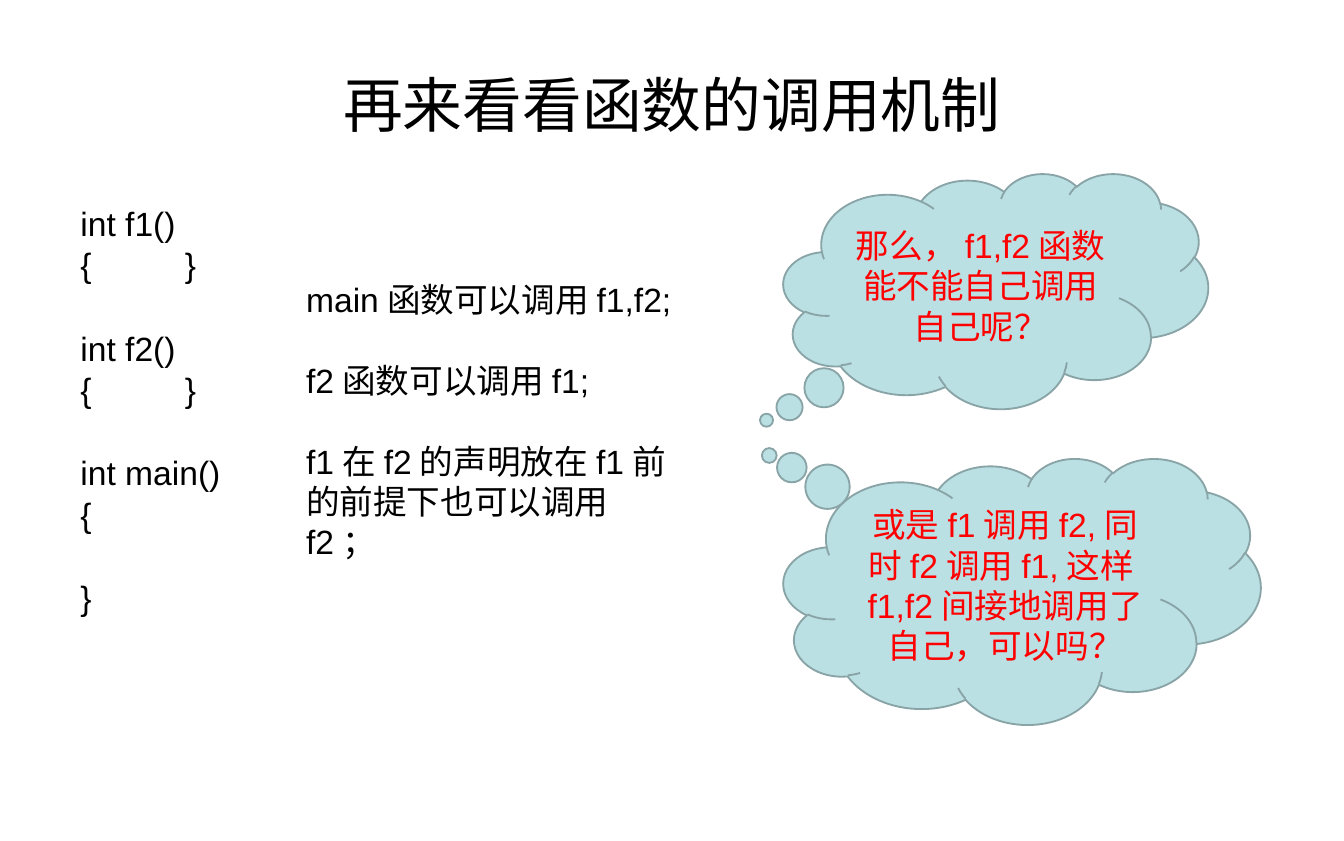
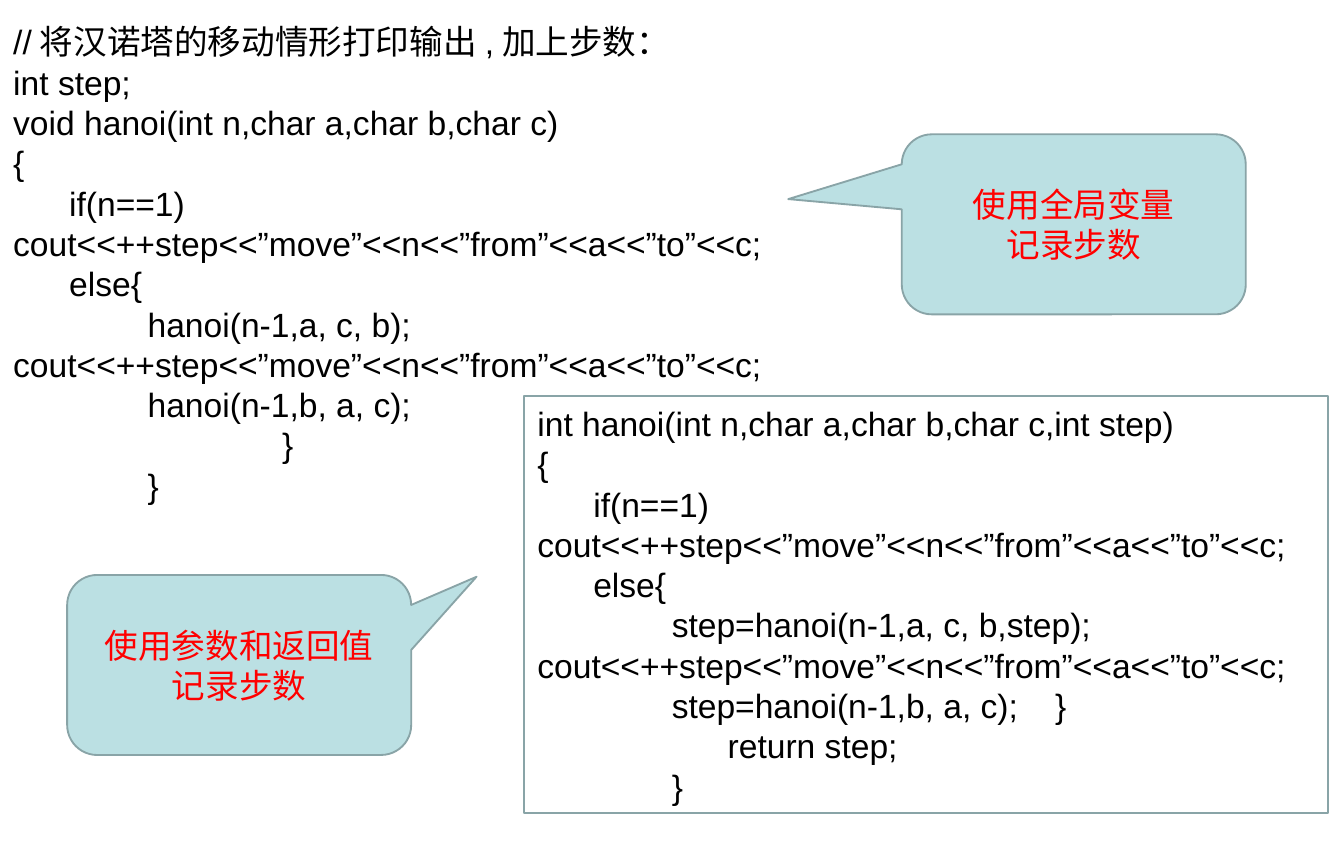
from pptx import Presentation
from pptx.dml.color import RGBColor
from pptx.enum.shapes import MSO_SHAPE
from pptx.enum.text import MSO_ANCHOR, PP_ALIGN
from pptx.util import Emu, Pt

CLOUD = MSO_SHAPE.CLOUD_CALLOUT
BUBBLE = MSO_SHAPE.ROUNDED_RECTANGULAR_CALLOUT
MIDDLE, TOP = MSO_ANCHOR.MIDDLE, MSO_ANCHOR.TOP
CENTER, LEFT = PP_ALIGN.CENTER, PP_ALIGN.LEFT

BLACK = RGBColor(0x00, 0x00, 0x00)
RED = RGBColor(0xFF, 0x00, 0x00)
PALE_TEAL = RGBColor(0xBB, 0xE0, 0xE3)
TEAL_GREY = RGBColor(0x89, 0xA4, 0xA7)

EMU_PER_PX = 9144
INDENT = 100
FONT = "Arial"
BODY_SIZE, TITLE_SIZE, LINE_PITCH = 18, 32, 21.6
MOVE = "cout<<++step<<”move”<<n<<”from”<<a<<”to”<<c;"


def px(length):
    return Emu(length * EMU_PER_PX)


class Deck:
    """Lecture slides in one style, drawn on the current slide."""

    def __init__(self, width, height):
        self.presentation = Presentation()
        self.presentation.slide_width = px(width)
        self.presentation.slide_height = px(height)
        self.slide = None

    def new_slide(self):
        blank = self.presentation.slide_layouts[6]
        self.slide = self.presentation.slides.add_slide(blank)

    def fill_text(self, frame, lines, color=BLACK, size=BODY_SIZE, align=LEFT, anchor=TOP):
        frame.word_wrap = True
        frame.vertical_anchor = anchor
        frame.text = "\n".join(line.lstrip("\t") for line in lines)
        for paragraph, line in zip(frame.paragraphs, lines):
            depth = len(line) - len(line.lstrip("\t"))
            if depth:
                properties = paragraph._p.get_or_add_pPr()
                properties.set("marL", str(px(depth * INDENT)))
                properties.set("indent", "0")
            paragraph.alignment = align
            paragraph.line_spacing = Pt(LINE_PITCH * size / BODY_SIZE)
            for run in paragraph.runs:
                run.font.name = FONT
                run.font.size = Pt(size)
                run.font.color.rgb = color

    def outline(self, shape):
        shape.line.color.rgb = TEAL_GREY
        shape.line.width = Pt(1)

    def text(self, box, lines, **style):
        area = self.slide.shapes.add_textbox(*map(px, box))
        self.fill_text(area.text_frame, lines, **style)
        return area

    def title(self, wording):
        self.text((50, 25, 900, 104), [wording], size=TITLE_SIZE, align=CENTER, anchor=MIDDLE)

    def groups(self, box, groups, gap, step=0):
        area = self.text(box, [line for group in groups for line in group])
        spaces = [step if offset else gap for group in groups for offset in range(len(group))]
        for paragraph, space in list(zip(area.text_frame.paragraphs, spaces))[1:]:
            paragraph.space_before = Pt(space)

    def framed_code(self, box, lines):
        self.outline(self.text(box, lines))

    def callout(self, kind, box, pointer, lines):
        bubble = self.slide.shapes.add_shape(kind, *map(px, box))
        for index, value in enumerate(pointer):
            bubble.adjustments[index] = value
        bubble.shadow.inherit = False
        bubble.fill.solid()
        bubble.fill.fore_color.rgb = PALE_TEAL
        self.outline(bubble)
        self.fill_text(bubble.text_frame, lines, color=RED, align=CENTER, anchor=MIDDLE)


def call_mechanism(deck):
    deck.new_slide()
    deck.title("再来看看函数的调用机制")
    deck.groups(
        (50, 146, 142, 413),
        [["int f1()", "{          }"], ["int f2()", "{          }"], ["int main()", "{"], ["}"]],
        gap=23,
        step=0.7,
    )
    deck.groups(
        (218, 203, 296, 220),
        [["main函数可以调用f1,f2;"], ["f2函数可以调用f1;"], ["f1在f2的声明放在f1前的前提下也可以调用f2；"]],
        gap=LINE_PITCH,
    )
    deck.callout(CLOUD, (583, 129, 316, 175), (-0.54, 0.55),
                 ["那么，f1,f2函数能不能自己调用自己呢？"])
    deck.callout(CLOUD, (583, 341, 355, 198), (-0.53, -0.51),
                 ["或是f1调用f2,同时f2调用f1,这样f1,f2间接地调用了自己，可以吗？"])


def hanoi_steps(deck):
    deck.new_slide()
    deck.text((0, 11, 598, 370), [
        "//将汉诺塔的移动情形打印输出,加上步数：",
        "int step;",
        "void hanoi(int n,char a,char b,char c)",
        "{",
        "      if(n==1)",
        MOVE,
        "      else{",
        "\thanoi(n-1,a, c, b);",
        MOVE,
        "\thanoi(n-1,b, a, c);",
        "\t\t}",
        "\t}",
    ])
    deck.framed_code((390, 295, 598, 310), [
        "int hanoi(int n,char a,char b,char c,int step)",
        "{",
        "      if(n==1)",
        MOVE,
        "      else{",
        "\tstep=hanoi(n-1,a, c, b,step);",
        MOVE,
        "\tstep=hanoi(n-1,b, a, c);    }",
        "\t      return step;",
        "\t}",
    ])
    for corner, pointer, method in (
        ((671, 100), (-0.83, -0.14), "使用全局变量"),
        ((50, 428), (0.69, -0.49), "使用参数和返回值"),
    ):
        deck.callout(BUBBLE, (*corner, 256, 134), pointer, [method, "记录步数"])


def main():
    deck = Deck(1000, 626)
    call_mechanism(deck)
    hanoi_steps(deck)
    deck.presentation.save("out.pptx")


if __name__ == "__main__":
    main()
